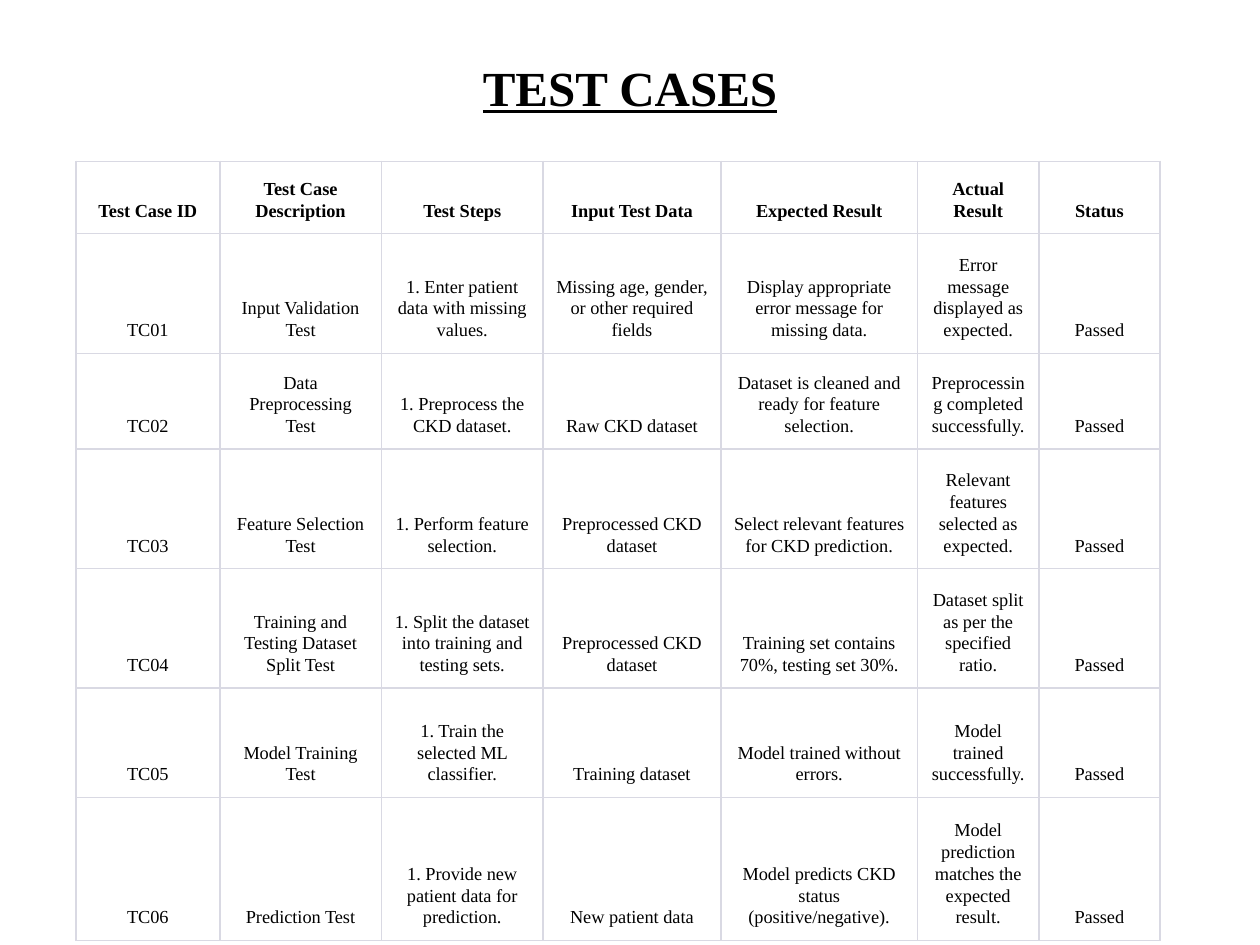
import pptx
import pptx.dml.color
import pptx.enum.text
import pptx.oxml.ns
import pptx.util
from lxml import etree

Pt = pptx.util.Pt
ANCHOR = pptx.enum.text.MSO_ANCHOR
COLORS = {"text": "000000", "grid": "D9D9E3"}
FONT = "Times New Roman"

COLUMN_WIDTHS = [82.2, 92.4, 92.4, 101.6, 112.4, 69.3, 69.3]
ROW_HEIGHTS = [39.6, 66.3, 53.2, 66.3, 66.3, 62.5, 79.6]
HEADINGS = ["Test Case ID", "Test Case Description", "Test Steps", "Input Test Data",
            "Expected Result", "Actual Result", "Status"]
TEST_CASES = [
    ["TC01", "Input Validation Test", "1. Enter patient data with missing values.",
     "Missing age, gender, or other required fields",
     "Display appropriate error message for missing data.",
     "Error message displayed as expected.", "Passed"],
    ["TC02", "Data Preprocessing Test", "1. Preprocess the CKD dataset.",
     "Raw CKD dataset", "Dataset is cleaned and ready for feature selection.",
     "Preprocessing completed successfully.", "Passed"],
    ["TC03", "Feature Selection Test", "1. Perform feature selection.",
     "Preprocessed CKD dataset", "Select relevant features for CKD prediction.",
     "Relevant features selected as expected.", "Passed"],
    ["TC04", "Training and Testing Dataset Split Test",
     "1. Split the dataset into training and testing sets.",
     "Preprocessed CKD dataset", "Training set contains 70%, testing set 30%.",
     "Dataset split as per the specified ratio.", "Passed"],
    ["TC05", "Model Training Test", "1. Train the selected ML classifier.",
     "Training dataset", "Model trained without errors.",
     "Model trained successfully.", "Passed"],
    ["TC06", "Prediction Test", "1. Provide new patient data for prediction.",
     "New patient data", "Model predicts CKD status (positive/negative).",
     "Model prediction matches the expected result.", "Passed"],
]


def write_text(frame, text, size, bold=False, underline=False, line_spacing=1.0):
    frame.word_wrap = True
    paragraph = frame.paragraphs[0]
    paragraph.alignment = pptx.enum.text.PP_ALIGN.CENTER
    paragraph.line_spacing = line_spacing
    run = paragraph.add_run()
    run.text = text
    run.font.name = FONT
    run.font.size = Pt(size)
    run.font.bold = bold
    run.font.underline = underline
    run.font.color.rgb = pptx.dml.color.RGBColor.from_string(COLORS["text"])


def draw_borders(cell, color, width):
    qn = pptx.oxml.ns.qn
    properties = cell._tc.get_or_add_tcPr()
    for side in ("a:lnL", "a:lnR", "a:lnT", "a:lnB"):
        border = etree.SubElement(properties, qn(side), w=str(int(Pt(width))))
        fill = etree.SubElement(border, qn("a:solidFill"))
        etree.SubElement(fill, qn("a:srgbClr"), val=color)


def add_title(slide, left, top, width, height):
    title = slide.shapes.add_textbox(Pt(left), Pt(top), Pt(width), Pt(height))
    title.text_frame.vertical_anchor = ANCHOR.MIDDLE
    write_text(title.text_frame, "TEST CASES", size=28, bold=True,
               underline=True, line_spacing=0.9)


def add_test_cases(slide, left, top, width, height):
    rows = [HEADINGS] + TEST_CASES
    table = slide.shapes.add_table(len(rows), len(HEADINGS), Pt(left), Pt(top),
                                   Pt(width), Pt(height)).table
    table.first_row = False
    table.horz_banding = False
    for column, column_width in zip(table.columns, COLUMN_WIDTHS):
        column.width = Pt(column_width)
    for row, row_height in zip(table.rows, ROW_HEIGHTS):
        row.height = Pt(row_height)
    for row_index, values in enumerate(rows):
        for column_index, value in enumerate(values):
            cell = table.cell(row_index, column_index)
            cell.vertical_anchor = ANCHOR.BOTTOM
            cell.margin_left = cell.margin_right = Pt(7.2)
            cell.margin_top = cell.margin_bottom = Pt(7.2)
            draw_borders(cell, COLORS["grid"], 1)
            cell.fill.background()
            write_text(cell.text_frame, value, size=10.5, bold=row_index == 0,
                       line_spacing=1.07)


def main():
    deck = pptx.Presentation()
    deck.slide_width, deck.slide_height = Pt(720), Pt(540)
    slide = deck.slides.add_slide(deck.slide_layouts[6])
    add_title(slide, 36, 6.5, 648, 90)
    add_test_cases(slide, 43.4, 92.2, sum(COLUMN_WIDTHS), sum(ROW_HEIGHTS))
    deck.save("out.pptx")


if __name__ == "__main__":
    main()
